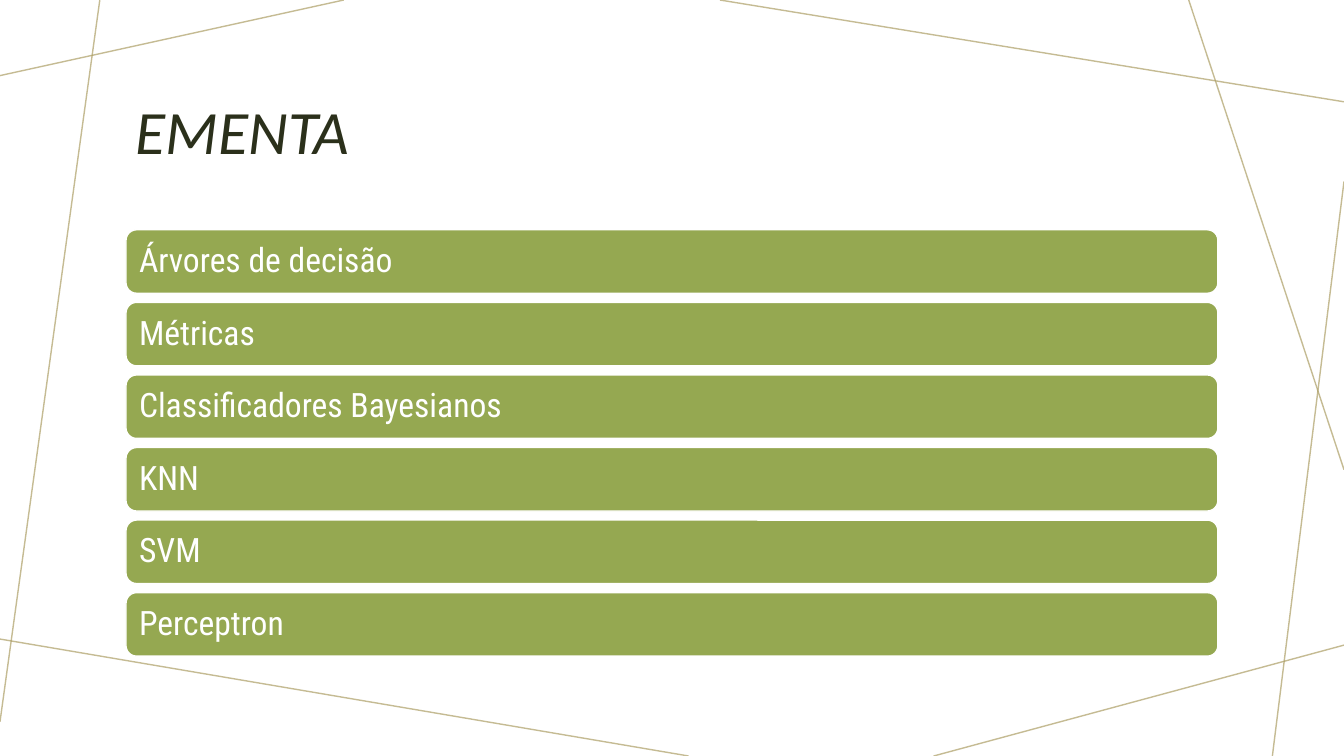
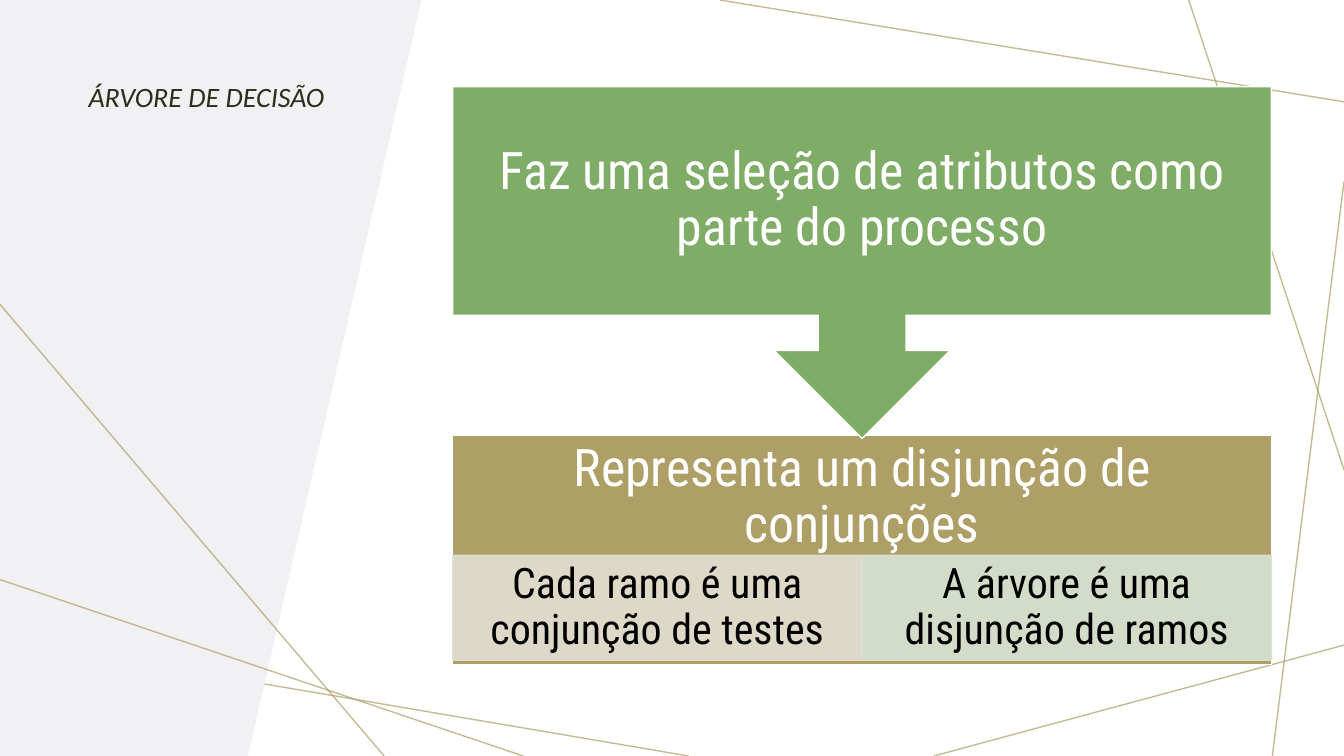
"""Build two slides on decision trees: the course outline and the tree's properties."""
from dataclasses import dataclass

from lxml.etree import SubElement
from pptx import Presentation
from pptx.dml.color import RGBColor
from pptx.enum.shapes import MSO_CONNECTOR, MSO_SHAPE
from pptx.enum.text import MSO_ANCHOR, PP_ALIGN
from pptx.oxml.ns import qn
from pptx.slide import Slide
from pptx.util import Inches, Pt


@dataclass(frozen=True)
class Theme:
    title_font: str = "Calibri"
    body_font: str = "Roboto Condensed"
    title_size: int = 44
    side_title_size: int = 20
    bar_size: int = 24
    block_size: int = 37
    branch_size: int = 30
    ink: str = "2B301B"
    black: str = "000000"
    white: str = "FFFFFF"
    panel: str = "F1F0F3"
    olive: str = "95A851"
    green: str = "7FAC66"
    sand: str = "AD9F66"
    pale_sand: str = "E3DFD3"
    pale_green: str = "D8E3D3"
    line_opacity: int = 70
    branch_opacity: int = 90


@dataclass(frozen=True)
class Box:
    left: float
    top: float
    width: float
    height: float


@dataclass(frozen=True)
class Insets:
    left: float = 0.1
    top: float = 0.05
    right: float = 0.1
    bottom: float = 0.05


@dataclass(frozen=True)
class TextStyle:
    size: int
    color: str
    font: str
    italic: bool = False
    align: PP_ALIGN = PP_ALIGN.LEFT
    anchor: MSO_ANCHOR = MSO_ANCHOR.MIDDLE
    insets: Insets = Insets()


@dataclass(frozen=True)
class Block:
    text: str
    box: Box
    preset: MSO_SHAPE
    fill: str
    outline: str
    style: TextStyle
    opacity: int = 100


@dataclass(frozen=True)
class Segment:
    x1: float
    y1: float
    x2: float
    y2: float


THEME = Theme()
SLIDE_WIDTH, SLIDE_HEIGHT = 13.33, 7.5

FRAME_LINES = (
    Segment(3.41, 0, 0, 0.75),
    Segment(0.99, 0, 0, 7.16),
    Segment(6.83, 7.5, 0, 6.34),
    Segment(13.33, 6.4, 9.26, 7.5),
    Segment(13.33, 1.8, 12.62, 7.5),
    Segment(13.33, 4.66, 11.79, 0),
    Segment(13.33, 1.01, 7.14, 0),
)
PANEL_LINES = (Segment(0, 3.02, 3.81, 7.5), Segment(5.19, 7.5, 0, 5.75))
PANEL_CORNERS = ((4.18, 0), (2.46, 7.5), (0, 7.5))

TOPICS = ("Árvores de decisão", "Métricas", "Classificadores Bayesianos", "KNN", "SVM", "Perceptron")
BAR = Box(1.25, 2.28, 10.83, 0.63)
BAR_PITCH = 0.72

FLOW_LEFT, FLOW_WIDTH = 4.49, 8.12
BRANCH_TOP, BRANCH_HEIGHT = 5.51, 1.04
BRANCHES = (
    ("Cada ramo é uma conjunção de testes", THEME.pale_sand),
    ("A árvore é uma disjunção de ramos", THEME.pale_green),
)


def set_opacity(properties, percent: int) -> None:
    """Give every colour in the shape properties the same opacity."""
    for color in properties.iter(qn("a:srgbClr")):
        SubElement(color, qn("a:alpha")).set("val", str(percent * 1000))


def write_text(shape, text: str, style: TextStyle) -> None:
    """Fill the shape with one styled paragraph."""
    frame = shape.text_frame
    frame_format = {
        "word_wrap": True,
        "vertical_anchor": style.anchor,
        "margin_left": Inches(style.insets.left),
        "margin_top": Inches(style.insets.top),
        "margin_right": Inches(style.insets.right),
        "margin_bottom": Inches(style.insets.bottom),
    }
    paragraph = frame.paragraphs[0]
    run = paragraph.add_run()
    run.text = text
    paragraph_format = {"alignment": style.align, "line_spacing": 0.9}
    font_format = {"name": style.font, "size": Pt(style.size), "italic": style.italic}
    for target, values in ((frame, frame_format), (paragraph, paragraph_format), (run.font, font_format)):
        for name, value in values.items():
            setattr(target, name, value)
    run.font.color.rgb = RGBColor.from_string(style.color)


def place(box: Box) -> tuple[Inches, ...]:
    """Return the box as slide lengths."""
    return tuple(Inches(value) for value in (box.left, box.top, box.width, box.height))


def add_title(slide: Slide, text: str, box: Box, size: int, anchor: MSO_ANCHOR) -> None:
    """Add an italic title."""
    style = TextStyle(size, THEME.ink, THEME.title_font, italic=True, anchor=anchor)
    write_text(slide.shapes.add_textbox(*place(box)), text, style)


def add_lines(slide: Slide, segments: tuple[Segment, ...]) -> None:
    """Draw thin translucent decorative lines."""
    for segment in segments:
        ends = (Inches(value) for value in (segment.x1, segment.y1, segment.x2, segment.y2))
        connector = slide.shapes.add_connector(MSO_CONNECTOR.STRAIGHT, *ends)
        connector.line.width = Pt(1)
        connector.line.color.rgb = RGBColor.from_string(THEME.sand)
        properties = connector.element.spPr
        set_opacity(properties, THEME.line_opacity)
        SubElement(properties, qn("a:effectLst"))


def add_block(slide: Slide, block: Block) -> None:
    """Draw a filled shape with its text."""
    shape = slide.shapes.add_shape(block.preset, *place(block.box))
    shape.shadow.inherit = False
    shape.fill.solid()
    shape.fill.fore_color.rgb = RGBColor.from_string(block.fill)
    shape.line.width = Pt(1)
    shape.line.color.rgb = RGBColor.from_string(block.outline)
    if block.opacity < 100:
        set_opacity(shape.element.spPr, block.opacity)
    write_text(shape, block.text, block.style)


def add_panel(slide: Slide) -> None:
    """Draw the slanted side panel."""
    builder = slide.shapes.build_freeform(0, 0)
    builder.add_line_segments([(Inches(x), Inches(y)) for x, y in PANEL_CORNERS], close=True)
    panel = builder.convert_to_shape()
    panel.shadow.inherit = False
    panel.fill.solid()
    panel.fill.fore_color.rgb = RGBColor.from_string(THEME.panel)
    panel.line.fill.background()


def add_framed_slide(presentation) -> Slide:
    """Add a blank slide with the shared frame of lines."""
    slide = presentation.slides.add_slide(presentation.slide_layouts[6])
    add_lines(slide, FRAME_LINES)
    return slide


def build_outline(slide: Slide) -> None:
    """List the course topics as bars."""
    add_title(slide, "EMENTA", Box(1.25, 0.58, 10.83, 1.51), THEME.title_size, MSO_ANCHOR.MIDDLE)
    style = TextStyle(THEME.bar_size, THEME.white, THEME.body_font)
    for index, topic in enumerate(TOPICS):
        box = Box(BAR.left, BAR.top + index * BAR_PITCH, BAR.width, BAR.height)
        add_block(slide, Block(topic, box, MSO_SHAPE.ROUNDED_RECTANGLE, THEME.olive, THEME.white, style))


def build_decision_tree(slide: Slide) -> None:
    """Show attribute selection leading to the disjunction of branches."""
    add_panel(slide)
    add_title(slide, "ÁRVORE DE DECISÃO", Box(0.78, 0.78, 2.7, 2.03), THEME.side_title_size, MSO_ANCHOR.TOP)
    add_lines(slide, PANEL_LINES)

    def centred(size: int, color: str, insets: Insets) -> TextStyle:
        """Return a centred body style."""
        return TextStyle(size, color, THEME.body_font, align=PP_ALIGN.CENTER, insets=insets)

    add_block(slide, Block(
        "Representa um disjunção de conjunções", Box(FLOW_LEFT, 4.32, FLOW_WIDTH, 2.27),
        MSO_SHAPE.RECTANGLE, THEME.sand, THEME.white,
        centred(THEME.block_size, THEME.white, Insets(0.29, 0, 0.29, BRANCH_HEIGHT))))
    branch_style = centred(THEME.branch_size, THEME.black, Insets(0.23, 0.04, 0.23, 0.04))
    branch_width = FLOW_WIDTH / len(BRANCHES)
    for index, (text, color) in enumerate(BRANCHES):
        box = Box(FLOW_LEFT + index * branch_width, BRANCH_TOP, branch_width, BRANCH_HEIGHT)
        add_block(slide, Block(
            text, box, MSO_SHAPE.RECTANGLE, color, color, branch_style, THEME.branch_opacity))
    add_block(slide, Block(
        "Faz uma seleção de atributos como parte do processo", Box(FLOW_LEFT, 0.86, FLOW_WIDTH, 3.49),
        MSO_SHAPE.DOWN_ARROW_CALLOUT, THEME.green, THEME.white,
        centred(THEME.block_size, THEME.white, Insets(0.29, 0.29, 0.29, 0.29))))


def main() -> None:
    """Build and save the presentation."""
    presentation = Presentation()
    presentation.slide_width = Inches(SLIDE_WIDTH)
    presentation.slide_height = Inches(SLIDE_HEIGHT)
    for build in (build_outline, build_decision_tree):
        build(add_framed_slide(presentation))
    presentation.save("out.pptx")


if __name__ == "__main__":
    main()
